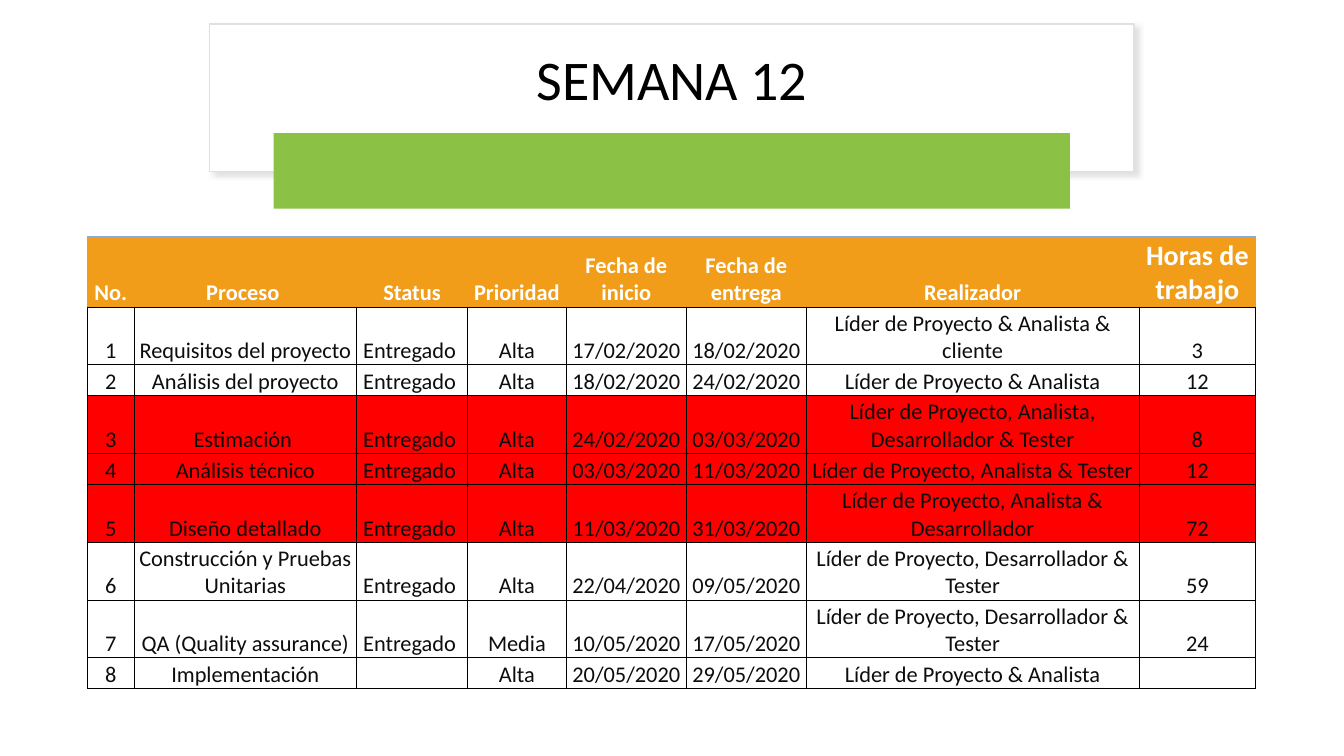
from lxml import etree
from pptx import Presentation
from pptx.dml.color import RGBColor
from pptx.enum import shapes, text
from pptx.oxml import parse_xml
from pptx.oxml.ns import nsdecls, qn
from pptx.util import Pt

FONT = "Calibri"
BLACK, WHITE, INK = "000000", "FFFFFF", "0D0D0D"
GREEN, ORANGE, RED, BLUE = "8BC145", "F19D19", "FF0000", "8EA9DB"

HEADINGS = ["No.", "Proceso ", "Status", "Prioridad", "Fecha de inicio",
            "Fecha de entrega", "Realizador", "Horas de trabajo"]
DONE = "Entregado "
TASKS = [
    ["Requisitos del proyecto", DONE, "Alta", "17/02/2020", "18/02/2020",
     "Líder de Proyecto & Analista & cliente", "3"],
    ["Análisis del proyecto", DONE, "Alta", "18/02/2020", "24/02/2020",
     "Líder de Proyecto & Analista", "12"],
    ["Estimación ", DONE, "Alta", "24/02/2020", "03/03/2020",
     "Líder de Proyecto, Analista, Desarrollador & Tester", "8"],
    ["Análisis técnico", DONE, "Alta", "03/03/2020", "11/03/2020",
     "Líder de Proyecto, Analista & Tester", "12"],
    ["Diseño detallado", DONE, "Alta", "11/03/2020", "31/03/2020",
     "Líder de Proyecto, Analista & Desarrollador", "72"],
    ["Construcción y Pruebas Unitarias", DONE, "Alta", "22/04/2020", "09/05/2020",
     "Líder de Proyecto, Desarrollador & Tester", "59"],
    ["QA (Quality assurance)", DONE, "Media", "10/05/2020", "17/05/2020",
     "Líder de Proyecto, Desarrollador & Tester", "24"],
    ["Implementación", "", "Alta", "20/05/2020", "29/05/2020",
     "Líder de Proyecto & Analista", ""],
]
RED_TASKS = {3, 4, 5}
COLUMN_WIDTHS = [33.1, 159.1, 79.2, 70.6, 85.7, 85.7, 237.6, 83.5]
TALL, SHORT = 41.2, 22.3
ROW_HEIGHTS = [50.4, TALL, SHORT, TALL, SHORT, TALL, TALL, TALL, SHORT]


def rgb(value):
    return RGBColor.from_string(value)


def paint(part, color):
    part.fill.solid()
    part.fill.fore_color.rgb = rgb(color)


def style(paragraph, size, color, bold=False):
    paragraph.alignment = text.PP_ALIGN.CENTER
    font = paragraph.font
    font.name, font.size, font.bold = FONT, Pt(size), bold
    font.color.rgb = rgb(color)


def cast_shadow(shape):
    shape._element.spPr.append(parse_xml(
        f'<a:effectLst {nsdecls("a")}><a:outerShdw blurRad="{Pt(4)}" dist="{Pt(3)}" '
        'dir="2700000" algn="tl" rotWithShape="0"><a:srgbClr val="C5C3C3">'
        '<a:alpha val="50000"/></a:srgbClr></a:outerShdw></a:effectLst>'))


def border(cell, **sides):
    properties = cell._tc.get_or_add_tcPr()
    for side in "LRTB":
        line = etree.SubElement(properties, qn(f"a:ln{side}"), w=str(Pt(0.5)))
        color = sides.get(side)
        if color:
            fill = etree.SubElement(line, qn("a:solidFill"))
            etree.SubElement(fill, qn("a:srgbClr"), val=color)
        else:
            etree.SubElement(line, qn("a:noFill"))


def fill_cell(cell, wording, size, ink, background, bold=False):
    cell.text = wording
    cell.vertical_anchor = text.MSO_ANCHOR.BOTTOM
    cell.margin_left = cell.margin_right = cell.margin_top = Pt(0.7)
    cell.margin_bottom = 0
    style(cell.text_frame.paragraphs[0], size, ink, bold)
    paint(cell, background)


def add_heading(slide, left, top, width, height):
    card = slide.shapes.add_shape(shapes.MSO_SHAPE.RECTANGLE,
                                  Pt(left), Pt(top), Pt(width), Pt(height))
    paint(card, WHITE)
    card.line.color.rgb = rgb("E1E1E1")
    card.line.width = Pt(1)
    cast_shadow(card)

    title = slide.shapes.add_textbox(Pt(left + 15.8), Pt(top + 7.2),
                                     Pt(width - 31.6), Pt(68.4))
    frame = title.text_frame
    frame.word_wrap = True
    frame.vertical_anchor = text.MSO_ANCHOR.MIDDLE
    frame.text = "SEMANA 12"
    wording = frame.paragraphs[0]
    wording.line_spacing = 0.9
    wording.space_after = Pt(6)
    style(wording, 40, BLACK)

    band = slide.shapes.add_shape(shapes.MSO_SHAPE.ROUNDED_RECTANGLE,
                                  Pt(left + 45.7), Pt(top + 77.8),
                                  Pt(width - 91.4), Pt(54))
    band.adjustments[0] = 0
    band.shadow.inherit = False
    paint(band, GREEN)
    band.line.fill.background()


def add_schedule(slide, left, top):
    frame = slide.shapes.add_table(len(TASKS) + 1, len(HEADINGS), Pt(left), Pt(top),
                                   Pt(sum(COLUMN_WIDTHS)), Pt(sum(ROW_HEIGHTS)))
    schedule = frame.table
    schedule.first_row = schedule.horz_banding = False
    for column, width in zip(schedule.columns, COLUMN_WIDTHS):
        column.width = Pt(width)
    for row, height in zip(schedule.rows, ROW_HEIGHTS):
        row.height = Pt(height)

    last = len(HEADINGS) - 1
    for index, heading in enumerate(HEADINGS):
        cell = schedule.cell(0, index)
        border(cell, T=BLUE, B=BLACK, L=BLUE if index == 0 else None,
               R=BLUE if index == last else None)
        fill_cell(cell, heading, 20 if index == last else 16, WHITE, ORANGE, True)

    for number, task in enumerate(TASKS, 1):
        background = RED if number in RED_TASKS else WHITE
        for index, wording in enumerate([str(number), *task]):
            cell = schedule.cell(number, index)
            border(cell, L=BLACK, R=BLACK, T=BLACK, B=BLACK)
            fill_cell(cell, wording, 16, INK, background)


def main():
    deck = Presentation()
    deck.slide_width, deck.slide_height = Pt(960), Pt(540)
    slide = deck.slides.add_slide(deck.slide_layouts[6])
    add_heading(slide, 149.8, 17.3, 660.2, 105.1)
    add_schedule(slide, 62.6, 168.8)
    deck.save("out.pptx")


if __name__ == "__main__":
    main()
